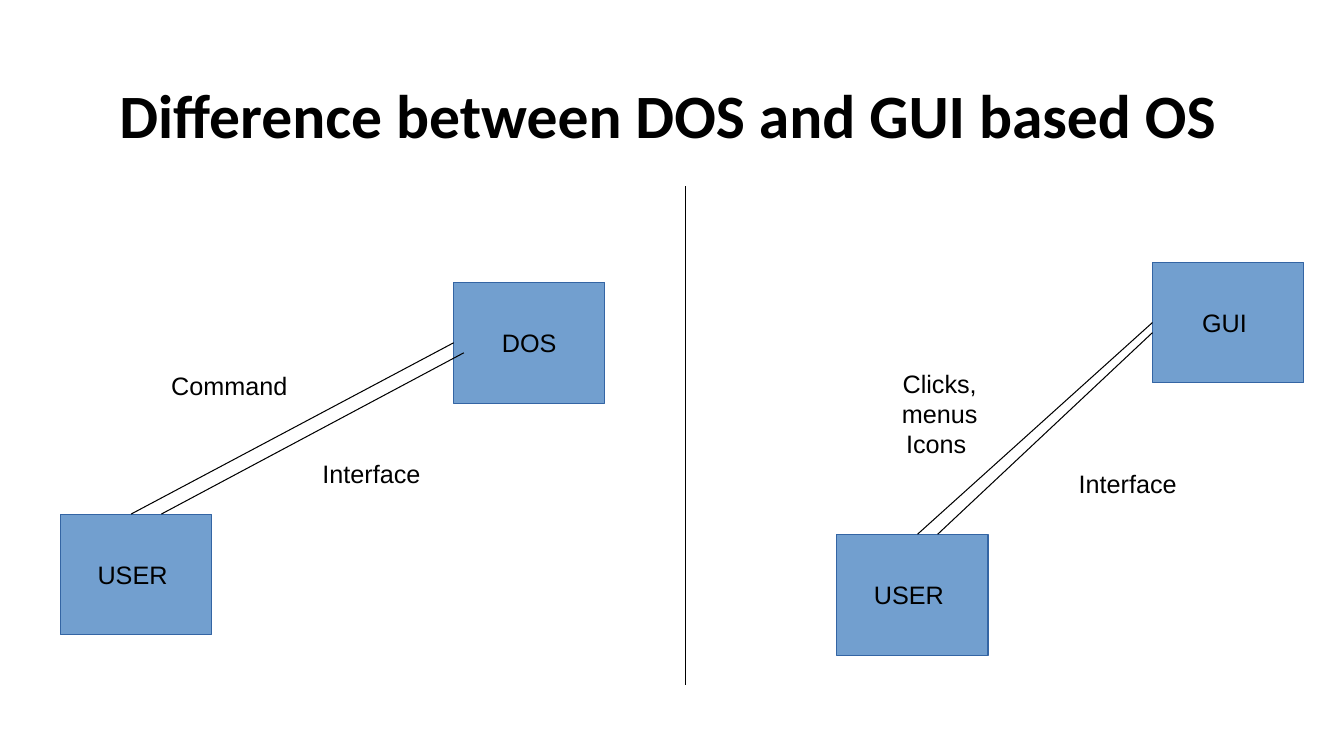
import pptx
import pptx.dml.color
import pptx.enum.shapes
import pptx.enum.text
import pptx.util
import lxml.etree

PX = 9144  # EMU in one px, 100 px to the inch
CENTER = pptx.enum.text.PP_ALIGN.CENTER
LEFT = pptx.enum.text.PP_ALIGN.LEFT
MIDDLE = pptx.enum.text.MSO_ANCHOR.MIDDLE


def color(value):
    return pptx.dml.color.RGBColor.from_string(value)


def write(para, text, size=18, font="Arial", bold=False, align=CENTER):
    para.alignment = align
    span = para.add_run()
    span.text = text
    span.font.size = pptx.util.Pt(size)
    span.font.name = font
    span.font.bold = bold
    span.font.color.rgb = color("000000")


deck = pptx.Presentation()
deck.slide_width = 1333 * PX
deck.slide_height = 750 * PX
page = deck.slides.add_slide(deck.slide_layouts[5])

# Title
title = page.shapes.title
title.left, title.top, title.width, title.height = [n * PX for n in (92, 40, 1150, 145)]
frame = title.text_frame
frame.margin_left = frame.margin_right = frame.margin_top = frame.margin_bottom = 0
frame.vertical_anchor = MIDDLE
frame.word_wrap = True
frame.auto_size = pptx.enum.text.MSO_AUTO_SIZE.NONE
write(frame.paragraphs[0], " ", font="Calibri")
write(frame.paragraphs[0], "Difference between DOS and GUI based OS ", size=44, font="Calibri", bold=True)

# Users and the systems they work with
for name, left, top in [
    ("USER ", 60, 510),
    ("DOS", 450, 280),
    ("USER ", 830, 530),
    ("GUI ", 1143, 260),
]:
    box = page.shapes.add_shape(
        pptx.enum.shapes.MSO_SHAPE.RECTANGLE, left * PX, top * PX, 150 * PX, 120 * PX
    )
    box.shadow.inherit = False
    box.fill.solid()
    box.fill.fore_color.rgb = color("729FCF")
    box.line.color.rgb = color("3465A4")
    box.line.width = pptx.util.Pt(0.75)
    box.text_frame.word_wrap = False
    box.text_frame.vertical_anchor = MIDDLE
    write(box.text_frame.paragraphs[0], name)

# Divider, then the paired lines from user to system
for ends in [
    (680, 185, 680, 680),
    (130, 510, 450, 340),
    (160, 510, 460, 350),
    (910, 530, 1143, 320),
    (930, 530, 1143, 330),
]:
    line = page.shapes.add_connector(
        pptx.enum.shapes.MSO_CONNECTOR.STRAIGHT, *[n * PX for n in ends]
    )
    line.line.color.rgb = color("000000")
    line.line.width = pptx.util.Pt(0.75)
    lxml.etree.SubElement(
        line.element.spPr, "{http://schemas.openxmlformats.org/drawingml/2006/main}effectLst"
    )

# Labels beside the lines
for texts, left, top, width, height, align in [
    (["Command"], 160, 362, 162, 38, LEFT),
    (["Interface"], 310, 450, 124, 38, LEFT),
    (["Clicks, menus", "Icons "], 847, 360, 170, 66, CENTER),
    (["Interface"], 1060, 460, 124, 38, LEFT),
]:
    label = page.shapes.add_textbox(left * PX, top * PX, width * PX, height * PX)
    frame = label.text_frame
    frame.word_wrap = True
    for index, text in enumerate(texts):
        para = frame.add_paragraph() if index else frame.paragraphs[0]
        write(para, text, align=align)

deck.save("out.pptx")
